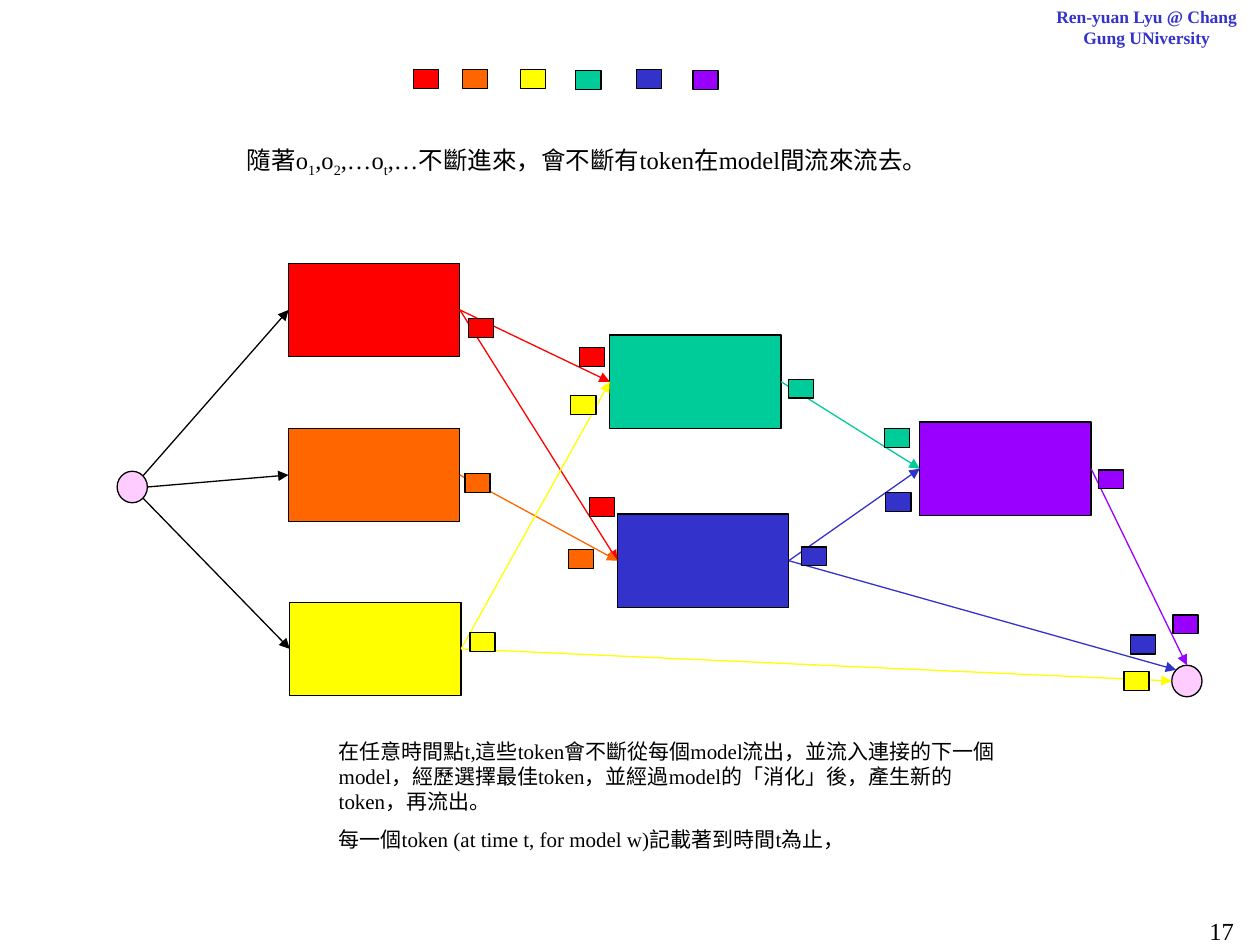
import pptx
import pptx.util
import pptx.dml.color
import pptx.enum.shapes
import pptx.enum.text
import pptx.oxml.ns
from lxml import etree

Inches, Pt = pptx.util.Inches, pptx.util.Pt
RGB = pptx.dml.color.RGBColor
SHAPE = pptx.enum.shapes.MSO_SHAPE
ALIGN = pptx.enum.text.PP_ALIGN
FIT = pptx.enum.text.MSO_AUTO_SIZE
qn = pptx.oxml.ns.qn

BLACK = RGB(0x00, 0x00, 0x00)
RED = RGB(0xFF, 0x00, 0x00)
ORANGE = RGB(0xFF, 0x66, 0x00)
YELLOW = RGB(0xFF, 0xFF, 0x00)
GREEN = RGB(0x00, 0xCC, 0x99)
BLUE = RGB(0x33, 0x33, 0xCC)
PURPLE = RGB(0x99, 0x00, 0xFF)
PINK = RGB(0xFF, 0xCC, 0xFF)
FONT = "Times New Roman"

MODEL, NODE, TOKEN = (1.36, 0.74), (0.24, 0.25), (0.2, 0.15)

# name: left, top, size, fill
parts = {
    "red": (2.29, 2.09, MODEL, RED),
    "orange": (2.29, 3.4, MODEL, ORANGE),
    "yellow": (2.3, 4.78, MODEL, YELLOW),
    "blue": (4.9, 4.08, MODEL, BLUE),
    "green": (4.84, 2.66, MODEL, GREEN),
    "purple": (7.3, 3.35, MODEL, PURPLE),
    "start": (0.93, 3.74, NODE, PINK),
    "end": (9.3, 5.28, NODE, PINK),
}

# Sides as steps from the centre, in half widths and half heights
DIAG = 0.71
LEFT, RIGHT, TOP = (-1, 0), (1, 0), (0, -1)
TOP_LEFT, TOP_RIGHT, LOW_RIGHT = (-DIAG, -DIAG), (DIAG, -DIAG), (DIAG, DIAG)

links = [
    ("start", TOP_RIGHT, "red", LEFT),
    ("start", RIGHT, "orange", LEFT),
    ("start", LOW_RIGHT, "yellow", LEFT),
    ("red", RIGHT, "green", LEFT),
    ("red", RIGHT, "blue", LEFT),
    ("orange", RIGHT, "blue", LEFT),
    ("yellow", RIGHT, "green", LEFT),
    ("green", RIGHT, "purple", LEFT),
    ("blue", RIGHT, "purple", LEFT),
    ("purple", RIGHT, "end", TOP),
    ("yellow", RIGHT, "end", LEFT),
    ("blue", RIGHT, "end", TOP_LEFT),
]

# For each colour: input row, leaving its model, arriving at the next ones
tokens = {
    RED: [(3.28, 0.55), (3.72, 2.53), (4.6, 2.76), (4.68, 3.95)],
    ORANGE: [(3.67, 0.55), (3.69, 3.76), (4.51, 4.36)],
    YELLOW: [(4.13, 0.55), (3.73, 5.02), (4.53, 3.14), (8.92, 5.33)],
    GREEN: [(4.57, 0.56), (6.26, 3.01), (7.02, 3.4)],
    BLUE: [(5.05, 0.55), (6.36, 4.34), (7.03, 3.91), (8.97, 5.04)],
    PURPLE: [(5.5, 0.56), (8.72, 3.73), (9.31, 4.88)],
}

# Runs that start with "_" are subscripts
title = ["隨著o", "_1", ",o", "_2", ",…o", "_t",
         ",…不斷進來，會不斷有token在model間流來流去。"]
notes = [
    ["在任意時間點t,這些token會不斷從每個model流出，並流入連接的下一個model，"
     "經歷選擇最佳token，並經過model的「消化」後，產生新的token，再流出。"],
    ["每一個token (at time t, for model w)記載著到時間t為止，"],
]

deck = pptx.Presentation()
deck.slide_width, deck.slide_height = Inches(10), Inches(7.5)
slide = deck.slides.add_slide(deck.slide_layouts[6])


def draw(kind, left, top, size, fill):
    shape = slide.shapes.add_shape(
        kind, *(Inches(v) for v in (left, top, *size)))
    shape.shadow.inherit = False
    shape.fill.solid()
    shape.fill.fore_color.rgb = fill
    shape.line.color.rgb = BLACK
    shape.line.width = Pt(0.75)


def port(name, side):
    """Point on the edge of a part, in inches."""
    left, top, (wide, high), _ = parts[name]
    return left + wide * (1 + side[0]) / 2, top + high * (1 + side[1]) / 2


def arrow(start, end, color):
    line = slide.shapes.add_connector(
        pptx.enum.shapes.MSO_CONNECTOR.STRAIGHT,
        *(Inches(v) for v in (*start, *end)))
    line.line.color.rgb = color
    line.line.width = Pt(0.75)
    etree.SubElement(line.line._get_or_add_ln(), qn("a:tailEnd"),
                     type="triangle")
    etree.SubElement(line._element.spPr, qn("a:effectLst"))


def write(box, paras, size, color=BLACK, bold=False, align=ALIGN.LEFT,
          wrap=True, fit=FIT.NONE):
    frame = slide.shapes.add_textbox(*(Inches(v) for v in box)).text_frame
    frame.word_wrap = wrap
    frame.auto_size = fit
    for i, runs in enumerate(paras):
        para = frame.add_paragraph() if i else frame.paragraphs[0]
        para.alignment = align
        if i:
            para.space_before = Pt(7.5)
        for text in runs:
            run = para.add_run()
            run.text = text.removeprefix("_")
            run.font.name, run.font.size = FONT, Pt(size)
            run.font.bold = bold
            run.font.color.rgb = color
            if text.startswith("_"):
                run.font._element.set("baseline", "-25000")


for part in parts.values():
    draw(SHAPE.OVAL if part[2] == NODE else SHAPE.RECTANGLE, *part)

for name, out, goal, into in links:
    color = BLACK if name == "start" else parts[name][3]
    arrow(port(name, out), port(goal, into), color)

for color, spots in tokens.items():
    for left, top in spots:
        draw(SHAPE.RECTANGLE, left, top, TOKEN, color)

write((2.59, 5.81, 5.44, 1.01), notes, 12, fit=FIT.SHAPE_TO_FIT_TEXT)
write((1.86, 1.1, 5.88, 0.37), [title], 14, wrap=False,
      fit=FIT.SHAPE_TO_FIT_TEXT)
write((8.2, 0, 1.8, 0.5), [["Ren-yuan Lyu @ Chang Gung UNiversity"]], 10,
      BLUE, True, ALIGN.CENTER)
write((9.5, 7.22, 0.5, 0.28), [["17"]], 14)

deck.save("out.pptx")
